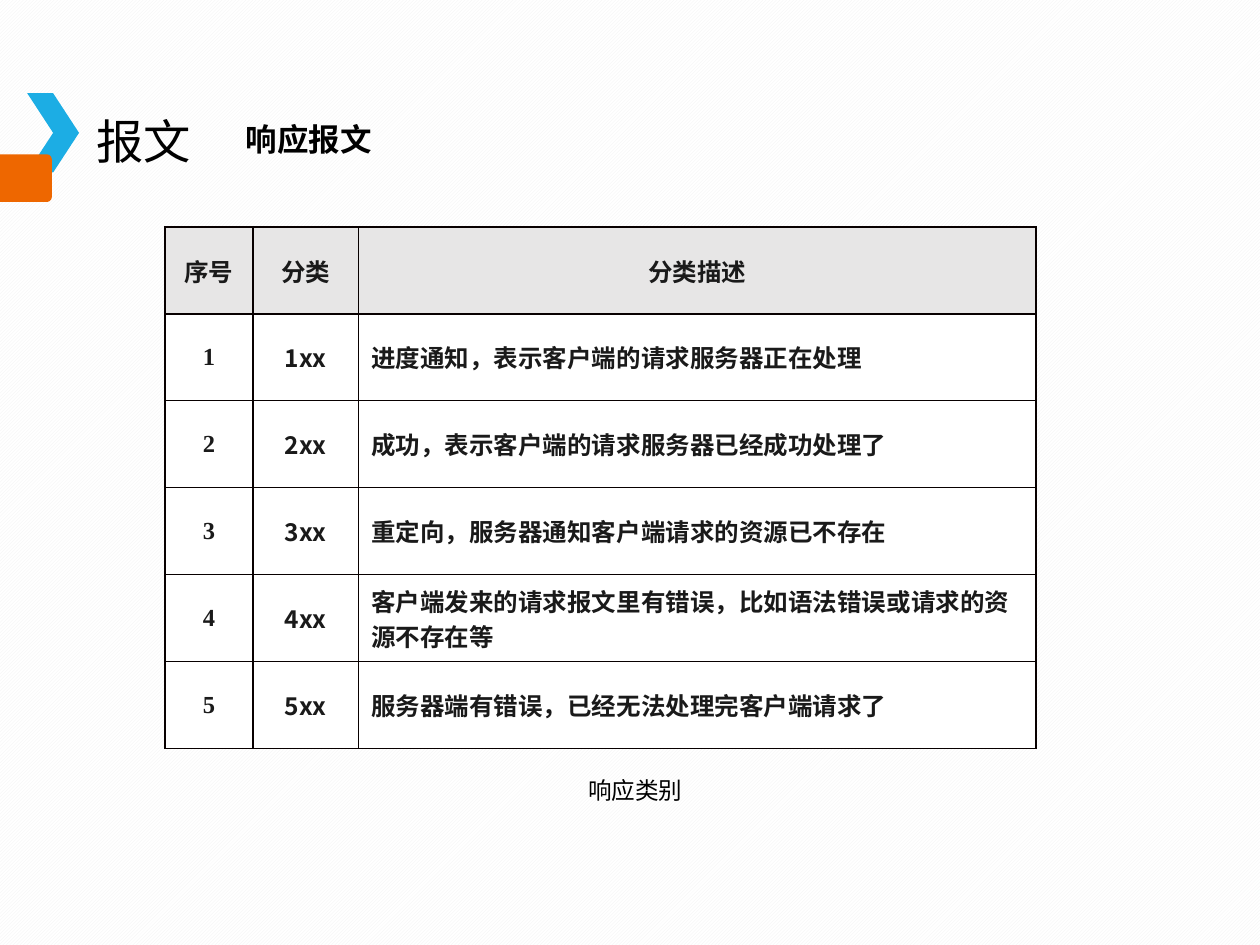
from dataclasses import dataclass

from pptx import Presentation
from pptx import util as u
from pptx.dml.color import RGBColor
from pptx.enum import dml, shapes, text
from pptx.oxml import ns, xmlchemy

Pt = u.Pt
SANS = "Noto Sans CJK SC"
SERIF = "Times New Roman"
BLACK, INK, BORDER = "000000", "1A1A1A", "080000"
HEADER_FILL, BODY_FILL = "E7E6E6", "FFFFFF"

TABLE_LEFT, TABLE_TOP = 94.3, 129.6
COLUMN_WIDTHS = (50.2, 60.4, 387.1)
ROW_HEIGHT = 49.7
HEADINGS = ("序号", "分类", "分类描述")
DESCRIPTIONS = (
    "进度通知，表示客户端的请求服务器正在处理",
    "成功，表示客户端的请求服务器已经成功处理了",
    "重定向，服务器通知客户端请求的资源已不存在",
    "客户端发来的请求报文里有错误，比如语法错误或请求的资源不存在等",
    "服务器端有错误，已经无法处理完客户端请求了",
)


@dataclass
class Style:
    size: float
    font: str = SANS
    color: str = BLACK
    bold: bool = False


@dataclass
class Label:
    words: str
    left: float
    top: float
    width: float
    height: float
    style: Style
    wrap: bool = True
    anchor: text.MSO_ANCHOR = text.MSO_ANCHOR.TOP
    line_spacing: float = 1.0


LABELS = (
    Label("响应报文", 133.2, 66.2, 231, 28, Style(18, "Arial", bold=True),
          anchor=text.MSO_ANCHOR.BOTTOM, line_spacing=0.9),
    Label("报文", 48.2, 60.5, 80, 39.6, Style(27)),
    Label(" 响应类别", 326.2, 440, 75, 23.8, Style(13.5), wrap=False),
)


def rgb(value: str) -> RGBColor:
    return RGBColor.from_string(value)


def format_runs(paragraph, style: Style) -> None:
    for run in paragraph.runs:
        font = run.font
        font.name = style.font
        font.size = Pt(style.size)
        font.bold = style.bold
        font.color.rgb = rgb(style.color)
        east_asian = xmlchemy.OxmlElement("a:ea")
        east_asian.set("typeface", style.font)
        font._element.find(ns.qn("a:latin")).addnext(east_asian)


def add_label(slide, label: Label) -> None:
    box = slide.shapes.add_textbox(
        Pt(label.left), Pt(label.top), Pt(label.width), Pt(label.height))
    frame = box.text_frame
    frame.word_wrap = label.wrap
    frame.vertical_anchor = label.anchor
    frame.text = label.words
    paragraph = frame.paragraphs[0]
    paragraph.line_spacing = label.line_spacing
    format_runs(paragraph, label.style)


def add_ornament(slide, kind, left: float, top: float, width: float,
                 height: float, color: str):
    shape = slide.shapes.add_shape(kind, Pt(left), Pt(top), Pt(width), Pt(height))
    shape.shadow.inherit = False
    shape.fill.solid()
    shape.fill.fore_color.rgb = rgb(color)
    shape.line.fill.background()
    return shape


def add_borders(cell) -> None:
    properties = cell._tc.get_or_add_tcPr()
    for side in ("a:lnL", "a:lnR", "a:lnT", "a:lnB"):
        line = xmlchemy.OxmlElement(side)
        line.set("w", str(Pt(1)))
        fill = xmlchemy.OxmlElement("a:solidFill")
        color = xmlchemy.OxmlElement("a:srgbClr")
        color.set("val", BORDER)
        fill.append(color)
        line.append(fill)
        properties.append(line)


def fill_cell(cell, words: str, font: str, fill: str, centered: bool) -> None:
    add_borders(cell)
    cell.fill.solid()
    cell.fill.fore_color.rgb = rgb(fill)
    cell.vertical_anchor = text.MSO_ANCHOR.MIDDLE
    cell.text_frame.text = words
    paragraph = cell.text_frame.paragraphs[0]
    paragraph.alignment = text.PP_ALIGN.CENTER if centered else text.PP_ALIGN.LEFT
    format_runs(paragraph, Style(14, font, INK, bold=True))


def add_status_table(slide) -> None:
    rows = [HEADINGS] + [
        (str(number), f"{number}xx", description)
        for number, description in enumerate(DESCRIPTIONS, 1)]
    table = slide.shapes.add_table(
        len(rows), len(HEADINGS), Pt(TABLE_LEFT), Pt(TABLE_TOP),
        Pt(sum(COLUMN_WIDTHS)), Pt(ROW_HEIGHT * len(rows))).table
    for column, width in zip(table.columns, COLUMN_WIDTHS):
        column.width = Pt(width)
    for row_index, row in enumerate(rows):
        table.rows[row_index].height = Pt(ROW_HEIGHT)
        is_header = row_index == 0
        for column_index, words in enumerate(row):
            fill_cell(
                table.cell(row_index, column_index), words,
                font=SERIF if column_index == 0 and not is_header else SANS,
                fill=HEADER_FILL if is_header else BODY_FILL,
                centered=is_header or column_index < 2)


def main() -> None:
    presentation = Presentation()
    presentation.slide_width, presentation.slide_height = Pt(720), Pt(540)
    slide = presentation.slides.add_slide(presentation.slide_layouts[6])

    background = slide.background.fill
    background.patterned()
    background.pattern = dml.MSO_PATTERN.LIGHT_UPWARD_DIAGONAL
    background.fore_color.rgb = rgb("F2F2F2")
    background.back_color.rgb = rgb("FFFFFF")

    add_ornament(slide, shapes.MSO_SHAPE.CHEVRON, 15.6, 53.3, 29.6, 45.3, "1CADE4")
    # Turned a quarter so that the rounded corners face right.
    tab = add_ornament(slide, shapes.MSO_SHAPE.ROUND_2_SAME_RECTANGLE,
                       1.2, 87, 27.2, 29.6, "EE6700")
    tab.rotation = 90
    tab.adjustments[0] = 0.1

    for label in LABELS:
        add_label(slide, label)
    add_status_table(slide)
    presentation.save("out.pptx")


if __name__ == "__main__":
    main()
